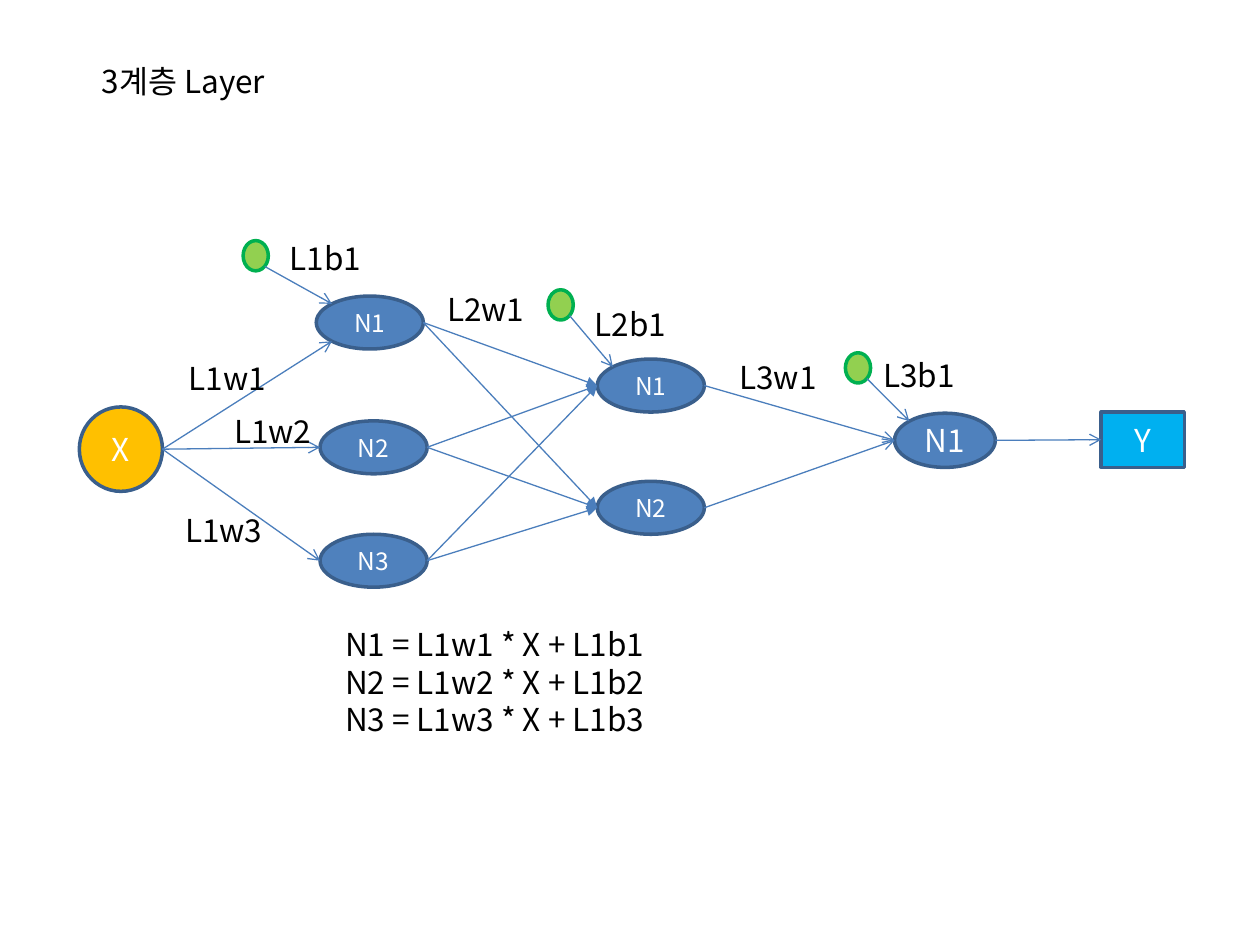
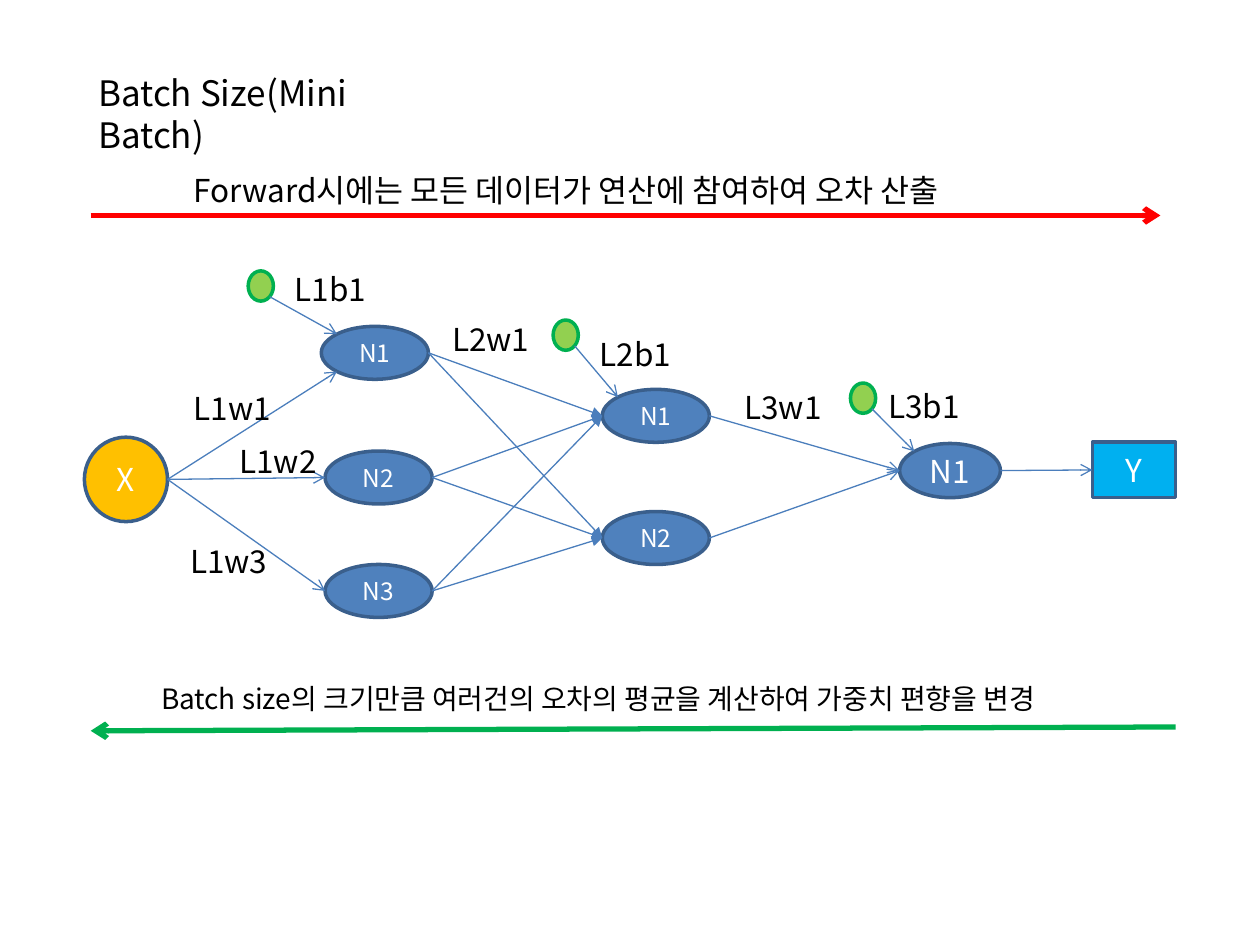
from lxml import etree
from pptx import Presentation
from pptx.dml.color import RGBColor
from pptx.enum.shapes import MSO_CONNECTOR as LINE, MSO_SHAPE as SHAPE
from pptx.enum.text import MSO_ANCHOR as ANCHOR, MSO_AUTO_SIZE as AUTO, PP_ALIGN as ALIGN
from pptx.oxml.ns import qn
from pptx.util import Inches, Pt

FONT = "Noto Sans CJK KR"
BLACK, WHITE = "000000", "FFFFFF"
ORANGE, BLUE, SKY, LIME = "FFC000", "4F81BD", "00B0F0", "92D050"
NAVY, LINK_BLUE, GREEN, RED = "3A5F8C", "4B7EBC", "00B050", "FF0000"

# Network: key -> (text, left, top, width, height, text size, fill)
NODES = {
    "X": ("X", 0.63, 3.23, 0.66, 0.67, 18, ORANGE),
    "L1N1": ("N1", 2.51, 2.35, 0.85, 0.42, 14, BLUE),
    "L1N2": ("N2", 2.54, 3.34, 0.85, 0.42, 14, BLUE),
    "L1N3": ("N3", 2.54, 4.24, 0.85, 0.42, 14, BLUE),
    "L2N1": ("N1", 4.74, 2.85, 0.85, 0.42, 14, BLUE),
    "L2N2": ("N2", 4.74, 3.82, 0.85, 0.42, 14, BLUE),
    "L3N1": ("N1", 7.1, 3.28, 0.8, 0.43, 18, BLUE),
}
# Bias dots: (left, top, node each one feeds)
BIASES = [(1.93, 1.91, "L1N1"), (4.35, 2.3, "L2N1"), (6.71, 2.8, "L3N1")]
BIAS_SIZE = (0.2, 0.24)

# Links: (from, to, side where the link arrives, arrowhead)
LINKS = [("X", "L1N1", "bottom left", "arrow"),
         ("X", "L1N2", "left", "arrow"),
         ("X", "L1N3", "left", "arrow")]
LINKS += [(f"L1N{i}", f"L2N{j}", "left", "triangle") for i in (1, 2, 3) for j in (1, 2)]
LINKS += [(f"L2N{j}", "L3N1", "left", "arrow") for j in (1, 2)]

LABELS = [
    ("L1w1", 1.4, 2.8), ("L1w2", 1.76, 3.22), ("L1w3", 1.37, 4.01),
    ("L2w1", 3.45, 2.25), ("L3w1", 5.77, 2.79),
    ("L1b1", 2.2, 1.85), ("L2b1", 4.62, 2.37), ("L3b1", 6.91, 2.78),
]
OUTPUT_TOP, OUTPUT_SIZE = 3.27, (0.66, 0.44)

# Slides: network shift, left of the output, texts (box, size), long arrows
SLIDES = [
    {"shift": (0, 0), "output_left": 8.74,
     "texts": [
         (["3계층 Layer"], (0.71, 0.44, 1.53, 0.4), 18),
         ([f"N{i} = L1w{i} * X + L1b{i}" for i in (1, 2, 3)], (2.64, 4.91, 3.07, 1.31), 18),
     ],
     "passes": []},
    {"shift": (0.04, 0.24), "output_left": 8.67,
     "texts": [
         (["Batch Size(Mini Batch)"], (0.68, 0.52, 3.02, 0.44), 20),
         (["Forward시에는 모든 데이터가 연산에 참여하여 오차 산출"], (1.44, 1.31, 6.66, 0.4), 18),
         (["Batch size의 크기만큼 여러건의 오차의 평균을 계산하여 가중치 편향을 변경"],
          (1.18, 5.36, 8.03, 0.37), 16),
     ],
     "passes": [((0.72, 1.71), (9.21, 1.71), RED, "tailEnd"),
                ((0.72, 5.8), (9.33, 5.77), GREEN, "headEnd")]},
]

# Fractions of the box where links touch an ellipse
DIAGONAL = 0.146
SIDES = {
    "left": (0, 0.5), "right": (1, 0.5),
    "top left": (DIAGONAL, DIAGONAL),
    "bottom left": (DIAGONAL, 1 - DIAGONAL),
    "bottom right": (1 - DIAGONAL, 1 - DIAGONAL),
}


def color(hex_string):
    return RGBColor.from_string(hex_string)


def side_point(box, side):
    left, top, width, height = box
    across, down = SIDES[side]
    return left + width * across, top + height * down


def write(frame, lines, size=18, ink=BLACK, align=ALIGN.LEFT, anchor=ANCHOR.TOP):
    frame.word_wrap = True
    frame.vertical_anchor = anchor
    for i, line in enumerate(lines):
        paragraph = frame.paragraphs[0] if i == 0 else frame.add_paragraph()
        paragraph.alignment = align
        run = paragraph.add_run()
        run.text = line
        run.font.name, run.font.size = FONT, Pt(size)
        run.font.color.rgb = color(ink)
        etree.SubElement(run.font._element, qn("a:ea"), typeface=FONT)


def add_text(slide, lines, box, size=18):
    frame = slide.shapes.add_textbox(*map(Inches, box)).text_frame
    write(frame, lines, size)
    frame.auto_size = AUTO.SHAPE_TO_FIT_TEXT


def add_node(slide, kind, box, fill, outline=NAVY, text=None, size=18):
    node = slide.shapes.add_shape(kind, *map(Inches, box))
    node.shadow.inherit = False
    node.fill.solid()
    node.fill.fore_color.rgb = color(fill)
    node.line.color.rgb = color(outline)
    node.line.width = Pt(2)
    if text:
        write(node.text_frame, [text], size, WHITE, ALIGN.CENTER, ANCHOR.MIDDLE)
    return node


def add_arrow(slide, start, end, ink=LINK_BLUE, width=0.75, head="arrow", at="tailEnd"):
    arrow = slide.shapes.add_connector(LINE.STRAIGHT, *map(Inches, start + end))
    arrow.line.color.rgb = color(ink)
    arrow.line.width = Pt(width)
    etree.SubElement(arrow.line._get_or_add_ln(), qn(f"a:{at}"), type=head)
    etree.SubElement(arrow._element.spPr, qn("a:effectLst"))
    return arrow


def add_network(slide, shift, output_left):
    dx, dy = shift
    # Neurons and input
    boxes = {}
    for key, (text, left, top, width, height, size, fill) in NODES.items():
        boxes[key] = (left + dx, top + dy, width, height)
        add_node(slide, SHAPE.OVAL, boxes[key], fill, text=text, size=size)

    # Output, joined to the last neuron
    output_box = (output_left, OUTPUT_TOP + dy, *OUTPUT_SIZE)
    output = add_node(slide, SHAPE.RECTANGLE, output_box, SKY, text="Y")
    output_link = add_arrow(slide, side_point(boxes["L3N1"], "right"),
                            side_point(output_box, "left"))
    output_link.end_connect(output, 1)

    # Weights
    for source, target, side, head in LINKS:
        add_arrow(slide, side_point(boxes[source], "right"),
                  side_point(boxes[target], side), head=head)

    # Biases
    for left, top, target in BIASES:
        bias_box = (left + dx, top + dy, *BIAS_SIZE)
        add_node(slide, SHAPE.OVAL, bias_box, LIME, GREEN)
        add_arrow(slide, side_point(bias_box, "bottom right"),
                  side_point(boxes[target], "top left"))

    # Weight and bias names
    for name, left, top in LABELS:
        add_text(slide, [name], (left + dx, top + dy, 0.82, 0.4))


def main():
    deck = Presentation()
    deck.slide_width, deck.slide_height = Inches(10), Inches(7.5)
    for content in SLIDES:
        slide = deck.slides.add_slide(deck.slide_layouts[6])
        add_network(slide, content["shift"], content["output_left"])
        for lines, box, size in content["texts"]:
            add_text(slide, lines, box, size)
        for start, end, ink, at in content["passes"]:
            add_arrow(slide, start, end, ink, width=3, at=at)
    deck.save("out.pptx")


if __name__ == "__main__":
    main()
